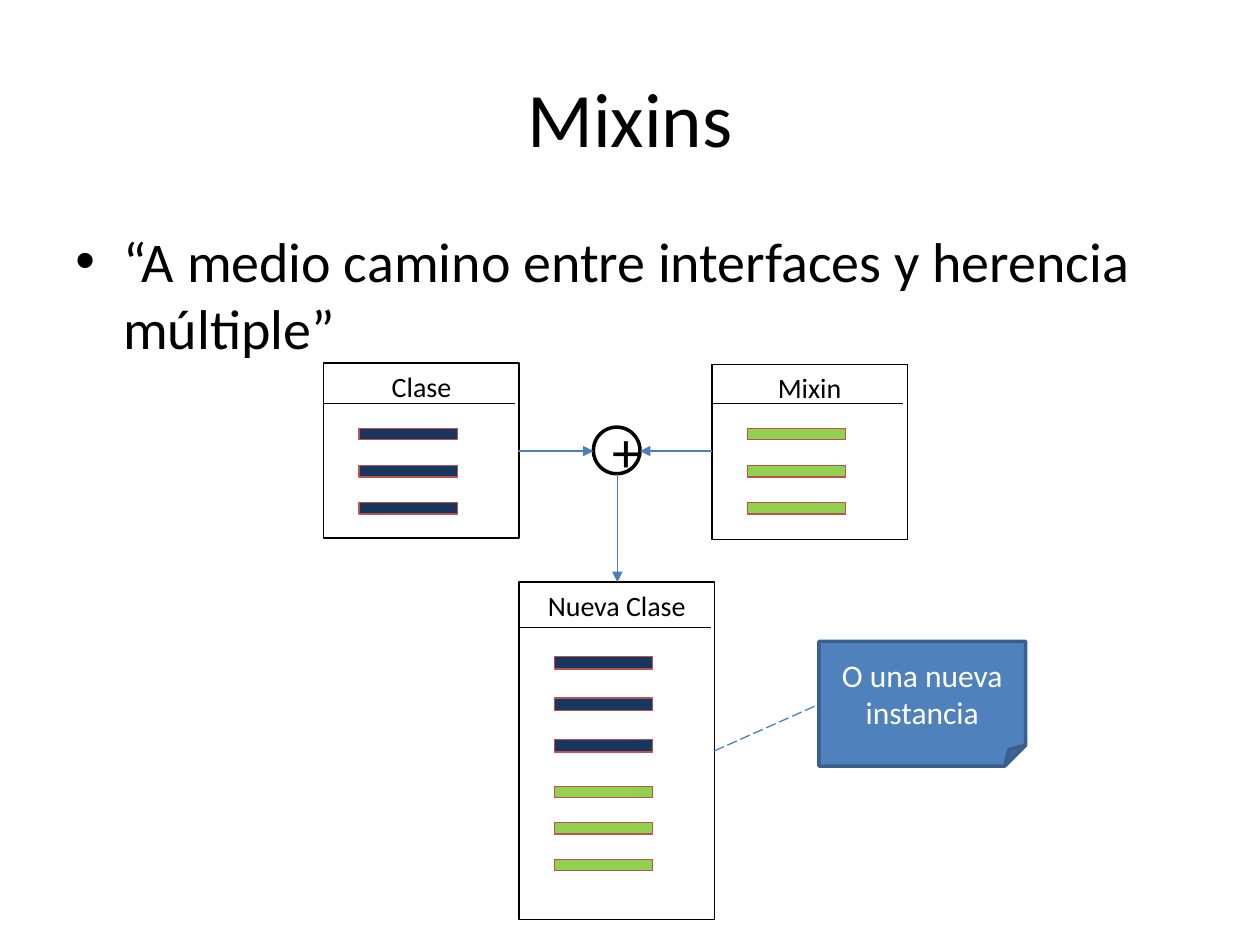
from lxml import etree
from pptx import Presentation
from pptx.dml.color import RGBColor
from pptx.enum import dml, shapes, text
from pptx.oxml import ns
from pptx.util import Inches, Pt

COLORS = {"black": "000000", "white": "FFFFFF", "navy": "17375E", "green": "92D050",
          "red": "C0504D", "arrow": "4B7EBC", "note": "4F81BD", "note_edge": "3A5F8C"}
KIND = shapes.MSO_SHAPE

deck = Presentation()
deck.slide_width, deck.slide_height = Inches(10), Inches(7.5)
page = deck.slides.add_slide(deck.slide_layouts[6])


def add_box(kind, place, fill=None, edge=None, width=0.75, words="", size=16,
            color="black", anchor=text.MSO_ANCHOR.MIDDLE, align=text.PP_ALIGN.CENTER):
    """Add a preset shape, or a plain text box when kind is None; return it."""
    place = [Inches(value) for value in place]
    if kind is None:
        box = page.shapes.add_textbox(*place)
    else:
        box = page.shapes.add_shape(kind, *place)
        box.shadow.inherit = False
        box.fill.solid()
        box.fill.fore_color.rgb = RGBColor.from_string(COLORS[fill])
        box.line.color.rgb = RGBColor.from_string(COLORS[edge])
        box.line.width = Pt(width)
    if words:
        frame = box.text_frame
        frame.word_wrap = True
        frame.vertical_anchor = anchor
        para = frame.paragraphs[0]
        para.alignment = align
        span = para.add_run()
        span.text = words
        span.font.name = "Calibri"
        span.font.size = Pt(size)
        span.font.color.rgb = RGBColor.from_string(COLORS[color])
    return box


def add_line(start, end, color="arrow", arrow=False):
    line = page.shapes.add_connector(shapes.MSO_CONNECTOR.STRAIGHT,
                                     *[Inches(value) for value in (*start, *end)])
    line.line.color.rgb = RGBColor.from_string(COLORS[color])
    line.line.width = Pt(0.75)
    if arrow:
        etree.SubElement(line.line._get_or_add_ln(), ns.qn("a:tailEnd"), type="triangle")
    etree.SubElement(line._element.spPr, ns.qn("a:effectLst"))
    return line


add_box(None, (0.5, 0.3, 9, 1.25), words="Mixins", size=44)

body = add_box(None, (0.5, 1.75, 9, 4.95), size=32, anchor=text.MSO_ANCHOR.TOP,
               align=text.PP_ALIGN.LEFT,
               words="“A medio camino entre interfaces y herencia múltiple”")
bullet = body.text_frame.paragraphs[0]._p.get_or_add_pPr()
bullet.set("marL", str(Inches(0.38)))
bullet.set("indent", str(-Inches(0.38)))
etree.SubElement(bullet, ns.qn("a:buFont"), typeface="Arial")
etree.SubElement(bullet, ns.qn("a:buChar"), char="•")

# Class cards: name, left, top, height, rule position,
# then sets of three members: first top, step, bar height, colour
cards = [
    ("Clase", 2.57, 2.88, 1.39, 3.2, [(3.4, 0.295, 0.09, "navy")]),
    ("Mixin", 5.65, 2.89, 1.39, 3.2, [(3.4, 0.295, 0.09, "green")]),
    ("Nueva Clase", 4.12, 4.62, 2.68, 4.98,
     [(5.21, 0.33, 0.1, "navy"), (6.24, 0.29, 0.09, "green")]),
]
for name, left, top, height, rule, members in cards:
    card = add_box(KIND.RECTANGLE, (left, top, 1.55, height), "white", "black",
                   words=name, anchor=text.MSO_ANCHOR.TOP)
    card.text_frame.word_wrap = False
    add_line((left - 0.01, rule), (left + 1.52, rule), "black")
    for first, step, bar_height, color in members:
        for row in range(3):
            add_box(KIND.RECTANGLE, (left + 0.28, first + row * step, 0.78, bar_height),
                    color, "red")

add_box(KIND.OVAL, (4.71, 3.39, 0.37, 0.37), "white", "black", 2, "+", 32)

for start, end in [((4.11, 3.58), (4.71, 3.58)),
                   ((5.65, 3.58), (5.08, 3.58)),
                   ((4.9, 3.76), (4.9, 4.62))]:
    add_line(start, end, arrow=True)

note_link = add_line((5.67, 5.96), (6.5, 5.59))
note_link.line.dash_style = dml.MSO_LINE.LONG_DASH
add_box(KIND.FOLDED_CORNER, (6.5, 5.09, 1.64, 0.99), "note", "note_edge", 2,
        "O una nueva instancia", 18, "white")

deck.save("out.pptx")
